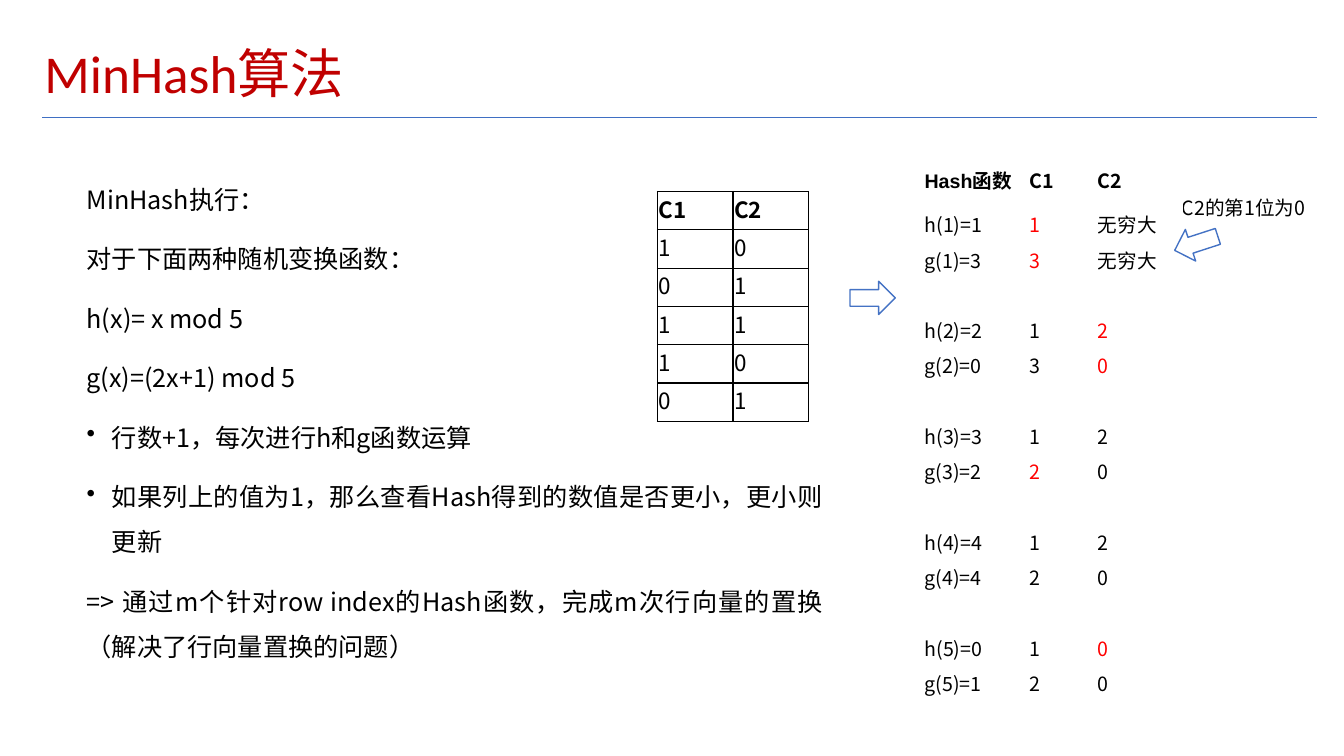
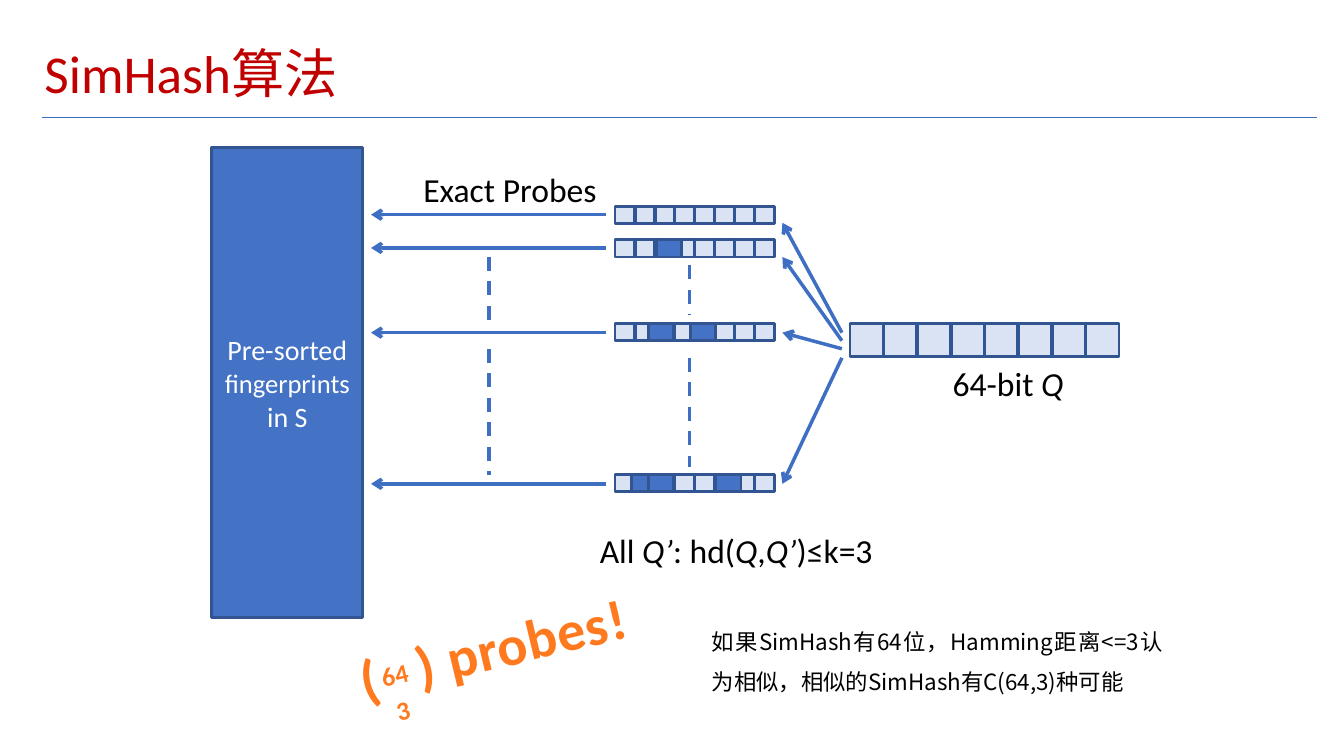
"""Build two slides on the MinHash and SimHash algorithms."""
import lxml.etree
import pptx
import pptx.dml.color
import pptx.enum.dml
import pptx.enum.shapes
import pptx.enum.text
import pptx.oxml.ns
import pptx.util

PX = 9144
HUES = {"black": "000000", "white": "FFFFFF", "title": "C00000", "red": "FF0000", "blue": "4472C4",
        "line": "3F6FC3", "edge": "325491", "split": "2F5597", "pale": "DAE3F3", "orange": "FF7A1F"}
RGB = {name: pptx.dml.color.RGBColor.from_string(code) for name, code in HUES.items()}
SANS, CJK = "Calibri", "Noto Sans CJK SC"
ALIGN = pptx.enum.text.PP_ALIGN
FIT = pptx.enum.text.MSO_AUTO_SIZE
MIDDLE = pptx.enum.text.MSO_ANCHOR.MIDDLE
FORM = pptx.enum.shapes.MSO_SHAPE
STRAIGHT = pptx.enum.shapes.MSO_CONNECTOR.STRAIGHT
qn = pptx.oxml.ns.qn
sub = lxml.etree.SubElement


def write(para, text, size, font=SANS, hue="black", bold=False, slant=False):
    run = para.add_run()
    run.text = text
    run.font.size = pptx.util.Pt(size)
    run.font.name = font
    run.font.bold = bold
    run.font.italic = slant
    run.font.color.rgb = RGB[hue]
    props = run._r.get_or_add_rPr()
    sub(props, qn("a:ea"), typeface=CJK)
    return props


def link(slide, ends, hue="line", width=2.5, dash=False, arrow=False):
    line = slide.shapes.add_connector(STRAIGHT, *[round(v * PX) for v in ends])
    line.line.color.rgb = RGB[hue]
    line.line.width = pptx.util.Pt(width)
    if dash:
        line.line.dash_style = pptx.enum.dml.MSO_LINE.DASH
    if arrow:
        sub(line.line._get_or_add_ln(), qn("a:tailEnd"), type="arrow")
    sub(line.element.spPr, qn("a:effectLst"))
    return line


deck = pptx.Presentation()
deck.slide_width, deck.slide_height = 1333 * PX, 750 * PX
layout = deck.slide_layouts[5]

slides = []
for head in ("MinHash算法", "SimHash算法"):
    slide = deck.slides.add_slide(layout)
    title = slide.shapes.title
    title.left, title.top, title.width, title.height = [v * PX for v in (39, 40, 1113, 71)]
    frame = title.text_frame
    frame.auto_size = FIT.NONE
    frame.vertical_anchor = MIDDLE
    frame.margin_left = frame.margin_right = frame.margin_top = frame.margin_bottom = 5 * PX
    para = frame.paragraphs[0]
    para.alignment = ALIGN.LEFT
    para.line_spacing = 0.9
    write(para, head, 38, hue="title")
    slides.append(slide)
minhash, simhash = slides
layout.shapes.element.append(link(minhash, (42, 117, 1306, 117), width=0.75).element)

steps = [
    "MinHash执行：",
    "对于下面两种随机变换函数：",
    "h(x)= x mod 5",
    "g(x)=(2x+1) mod 5",
    "•行数+1，每次进行h和g函数运算",
    "•如果列上的值为1，那么查看Hash得到的数值是否更小，更小则更新",
    "=> 通过m个针对row index的Hash函数，完成m次行向量的置换（解决了行向量置换的问题）",
]
hint = "如果SimHash有64位，Hamming距离<=3认为相似，相似的SimHash有C(64,3)种可能"
notes = [
    (minhash, (81, 163, 740, 541), 18, steps),
    (minhash, (1167, 178, 180, 63), 14, ["C2的第1位为0"]),
    (simhash, (701, 605, 457, 122), 16, [hint]),
]
for slide, spot, size, lines in notes:
    frame = slide.shapes.add_textbox(*[v * PX for v in spot]).text_frame
    frame.word_wrap = True
    frame.margin_left = frame.margin_right = frame.margin_top = frame.margin_bottom = 5 * PX
    for i, text in enumerate(lines):
        para = frame.add_paragraph() if i else frame.paragraphs[0]
        para.alignment = ALIGN.JUSTIFY
        para.line_spacing = 1.5
        para.space_before = pptx.util.Pt(10 if i else 0)
        if text.startswith("•"):
            props = para._p.get_or_add_pPr()
            props.set("marL", str(25 * PX))
            props.set("indent", str(-25 * PX))
            sub(props, qn("a:buChar"), char="•")
        write(para, text.lstrip("•"), size, CJK)

bits = [("C1", "C2"), "10", "01", "11", "10", "01"]
trace = [
    ("Hash函数", "C1", "C2"),
    ("h(1)=1", "*1", "无穷大"), ("g(1)=3", "*3", "无穷大"), ("", "", ""),
    ("h(2)=2", "1", "*2"), ("g(2)=0", "3", "*0"), ("", "", ""),
    ("h(3)=3", "1", "2"), ("g(3)=2", "*2", "0"), ("", "", ""),
    ("h(4)=4", "1", "2"), ("g(4)=4", "2", "0"), ("", "", ""),
    ("h(5)=0", "1", "*0"), ("g(5)=1", "2", "0"),
]
grids = [
    (652, 190, (75, 75), 38, 38, 16, bits, True),
    (916, 154, (104, 68, 85), 53, 35, 14, trace, False),
]
for x, y, cols, first, pitch, size, rows, ruled in grids:
    high = first + pitch * (len(rows) - 1)
    grid = minhash.shapes.add_table(
        len(rows), len(cols), x * PX, y * PX, sum(cols) * PX, high * PX).table
    grid.first_row = grid.horz_banding = False
    for c, wide in enumerate(cols):
        grid.columns[c].width = wide * PX
    for r, row in enumerate(rows):
        grid.rows[r].height = (pitch if r else first) * PX
        for c, text in enumerate(row):
            cell = grid.cell(r, c)
            cell.vertical_anchor = MIDDLE
            cell.margin_left = cell.margin_right = cell.margin_top = PX
            cell.margin_bottom = 5 * PX
            para = cell.text_frame.paragraphs[0]
            if text:
                font = "Arial" if text in ("Hash函数", "无穷大") else CJK
                hue = "red" if text.startswith("*") else "black"
                write(para, text.lstrip("*"), size, font, hue, bold=r == 0)
            else:
                sub(para._p, qn("a:endParaRPr"), sz=str(size * 100))
            props = cell._tc.get_or_add_tcPr()
            for side in ("lnL", "lnR", "lnT", "lnB") if ruled else ():
                edge = sub(props, qn("a:" + side), w="12700")
                fill = sub(edge, qn("a:solidFill"))
                sub(fill, qn("a:srgbClr"), val=HUES["black"])
            cell.fill.background()

for x, y, turn in ((843, 279, 180), (1164, 225, 342)):
    arrow = minhash.shapes.add_shape(FORM.LEFT_ARROW, x * PX, y * PX, 45 * PX, 33 * PX)
    arrow.rotation = turn
    arrow.shadow.inherit = False
    arrow.fill.solid()
    arrow.fill.fore_color.rgb = RGB["white"]
    arrow.line.color.rgb = RGB["blue"]
    arrow.line.width = pptx.util.Pt(1)

bars = [
    (843, 321, 267, 33, ()),
    (610, 205, 158, 17, ()),
    (610, 238, 158, 17, (651,)),
    (610, 321, 158, 17, (643, 685)),
    (610, 471, 158, 17, (626, 643, 710)),
]
rects = [(210, 146, 150, 467, "blue")]
for x, y, w, h, marks in bars:
    rects.append((x, y, w, h, "pale"))
    rects += [(mark, y, 25, h, "blue") for mark in marks]
boxes = []
for x, y, w, h, hue in rects:
    box = simhash.shapes.add_shape(FORM.RECTANGLE, x * PX, y * PX, w * PX, h * PX)
    box.shadow.inherit = False
    box.fill.solid()
    box.fill.fore_color.rgb = RGB[hue]
    box.line.color.rgb = RGB["edge"]
    box.line.width = pptx.util.Pt(2)
    boxes.append(box)
frame = boxes[0].text_frame
frame.word_wrap = True
para = frame.paragraphs[0]
para.alignment = ALIGN.CENTER
for text, size in (("Pre-sorted ", 20), ("fingerprints", 19), (" in S", 20)):
    write(para, text, size, hue="white")

for x, y, w, h, marks in bars:
    for i in range(1, 8):
        cut = x + w * i / 8
        if not any(mark < cut < mark + 25 for mark in marks):
            link(simhash, (cut, y, cut, y + h), "split")

for start, end, level in ((330, 221, 213), (338, 255, 246), (346, 330, 330), (355, 480, 480)):
    link(simhash, (835, start, 776, end), arrow=True)
    link(simhash, (601, level, 368, level), arrow=True)
for x, top, low in ((684, 263, 313), (684, 355, 463), (485, 255, 321), (485, 346, 471)):
    link(simhash, (x, top, x, low), dash=True)

labels = [
    ((935, 355, 130, 50), ["64-bit ", "*Q"]),
    ((585, 521, 291, 50), ["All", "* Q’", ": hd(", "*Q", ",", "*Q’", ")≤k=3"]),
    ((410, 163, 193, 50), ["Exact Probes"]),
]
for spot, parts in labels:
    frame = simhash.shapes.add_textbox(*[v * PX for v in spot]).text_frame
    frame.word_wrap = False
    frame.auto_size = FIT.SHAPE_TO_FIT_TEXT
    for part in parts:
        write(frame.paragraphs[0], part.lstrip("*"), 24, slant=part.startswith("*"))

probes = [
    ((347, 634, 37, 77), "(", 40, 0),
    ((400, 597, 233, 77), ") probes!", 40, 0),
    ((365, 643, 51, 45), "64", 32, 30),
    ((373, 655, 40, 45), "3", 32, -25),
]
for spot, text, size, shift in probes:
    box = simhash.shapes.add_textbox(*[v * PX for v in spot])
    box.rotation = 346.5
    frame = box.text_frame
    frame.word_wrap = False
    frame.auto_size = FIT.SHAPE_TO_FIT_TEXT
    frame.paragraphs[0].alignment = ALIGN.CENTER
    props = write(frame.paragraphs[0], text, size, hue="orange", bold=True)
    props.set("spc", "50")
    if shift:
        props.set("baseline", str(shift * 1000))

deck.save("out.pptx")
